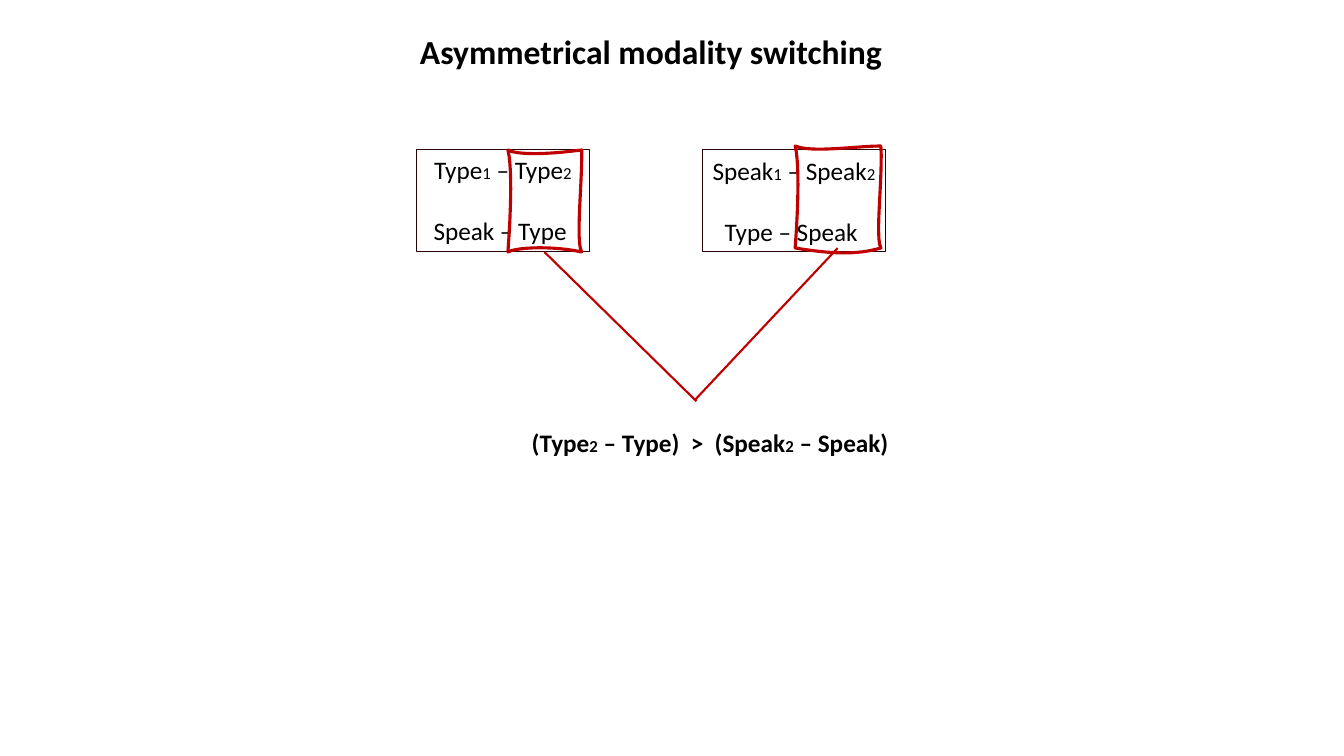
from lxml.etree import SubElement
from pptx import Presentation
from pptx.dml.color import RGBColor
from pptx.enum.shapes import MSO_CONNECTOR as Link, MSO_SHAPE as Shape
from pptx.enum.text import MSO_ANCHOR as Anchor, PP_ALIGN as Align
from pptx.oxml.ns import qn
from pptx.util import Cm, Pt


def write(para, text, size=18, bold=False):
    para.alignment = Align.CENTER
    font = para.font
    font.name, font.size, font.bold = "Calibri", Pt(size), bold
    font.color.rgb = RGBColor.from_string("000000")
    for i, part in enumerate(text.split("|")):
        run = para.add_run()
        run.text = part
        if i % 2:
            run.font.size = Pt(12)


def draw(line, tint, width):
    line.color.rgb = RGBColor.from_string(tint)
    line.width = Pt(width)


deck = Presentation()
deck.slide_width, deck.slide_height = Cm(33.87), Cm(19.05)
slide = deck.slides.add_slide(deck.slide_layouts[5])
shapes = slide.shapes

title = shapes.title
title.left, title.top, title.width, title.height = Cm(10.16), Cm(0.66), Cm(12.5), Cm(1.27)
write(title.text_frame.paragraphs[0], "Asymmetrical modality switching", 24, True)

boxes = [
    (10.49, 3.76, 4.37, "Type|1| – Type|2", "Speak – Type "),
    (17.7, 3.78, 4.62, "Speak|1| – Speak|2", "Type – Speak "),
]
for left, top, width, first, second in boxes:
    box = shapes.add_shape(Shape.RECTANGLE, Cm(left), Cm(top), Cm(width), Cm(2.57))
    box.shadow.inherit = False
    box.fill.background()
    draw(box.line, "280205", 0.75)
    frame = box.text_frame
    frame.word_wrap = False
    frame.vertical_anchor = Anchor.TOP
    write(frame.paragraphs[0], first)
    para = frame.add_paragraph()
    para.space_before = Pt(22)
    write(para, second)

loops = [
    [(12.8, 3.78), (13.11, 3.94), (14.07, 3.86), (14.66, 3.78),
     (14.68, 4.55), (14.5, 6.1), (14.66, 6.35),
     (13.97, 6.2), (13.06, 6.22), (12.8, 6.35),
     (12.85, 5.69), (12.93, 4.29), (12.8, 3.78)],
    [(20.04, 3.68), (20.45, 3.86), (21.59, 3.68), (22.2, 3.68),
     (22.25, 4.45), (22.05, 5.99), (22.2, 6.25),
     (21.59, 6.43), (20.93, 6.4), (20.04, 6.25),
     (20.09, 5.59), (20.17, 4.19), (20.04, 3.68)],
]
steps = 12
for loop in loops:
    dots = []
    for i in range(0, 12, 3):
        for step in range(1, steps + 1):
            t = step / steps
            u = 1 - t
            rates = (u ** 3, 3 * u * u * t, 3 * u * t * t, t ** 3)
            dots.append([Cm(sum(r * p[axis] for r, p in zip(rates, loop[i:i + 4])))
                         for axis in (0, 1)])
    pen = shapes.build_freeform(Cm(loop[0][0]), Cm(loop[0][1]))
    pen.add_line_segments(dots[:-1], close=True)
    ring = pen.convert_to_shape()
    ring.shadow.inherit = False
    ring.fill.background()
    draw(ring.line, "C00000", 2.25)

for ends in [(13.72, 6.35, 17.55, 10.11), (21.11, 6.25, 17.53, 10.06)]:
    link = shapes.add_connector(Link.STRAIGHT, *map(Cm, ends))
    draw(link.line, "C00000", 1.5)
    SubElement(link._element.spPr, qn("a:effectLst"))

note = shapes.add_textbox(Cm(13.13), Cm(10.64), Cm(9.53), Cm(1.02))
note.text_frame.word_wrap = True
write(note.text_frame.paragraphs[0], "(Type|2| – Type)  >  (Speak|2| – Speak)", bold=True)

deck.save("out.pptx")
